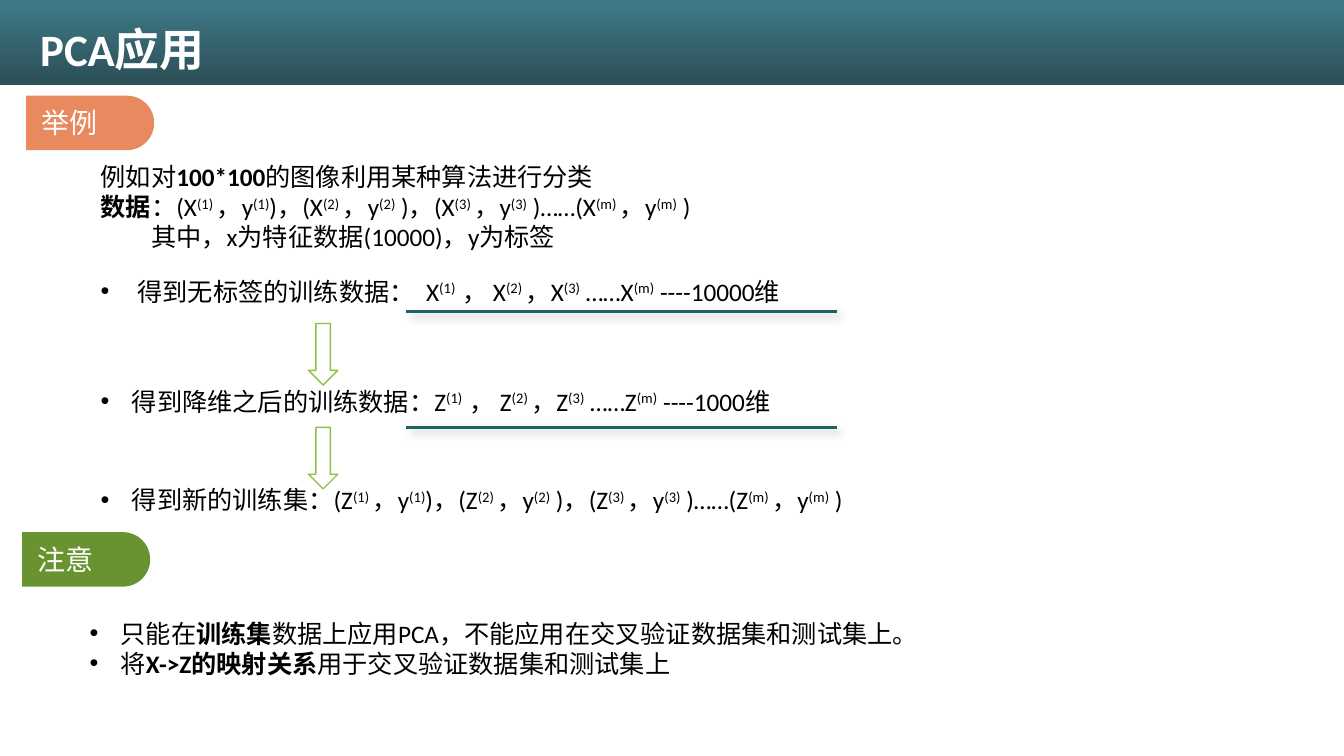
from dataclasses import dataclass
from math import cos, pi, sin

from lxml.etree import SubElement
from pptx import Presentation
from pptx.dml.color import RGBColor
from pptx.enum.shapes import MSO_CONNECTOR, MSO_SHAPE
from pptx.oxml.ns import qn
from pptx.util import Inches, Pt

FONT = "Calibri"
BLACK = "000000"
WHITE = "FFFFFF"
BULLET_INDENT = 0.31
ARC_STEPS = 24


@dataclass
class Line:
    text: str
    bullet: bool = False
    indent: float = 0


@dataclass
class TextBlock:
    left: float
    top: float
    width: float
    height: float
    lines: list[Line]
    size: int = 18
    color: str = BLACK


@dataclass
class Tag:
    left: float
    top: float
    label: str
    color: str


def rgb(value: str) -> RGBColor:
    return RGBColor.from_string(value)


def labelled_pairs(name: str) -> str:
    return (
        f"({name}^(1) ^，y^(1)^)，({name}^(2) ^，y^(2)^ )，"
        f"({name}^(3) ^，y^(3)^ )……({name}^(m) ^，y^(m)^ )"
    )


def vectors(name: str, dimension: int) -> str:
    return (
        f"{name}^(1)  ^， {name}^(2) ^，{name}^(3)^ "
        f"……{name}^(m)^ ----{dimension}维"
    )


def write_spans(para, text: str, size: int, color: str) -> None:
    for bold_index, part in enumerate(text.split("|")):
        for raised_index, piece in enumerate(part.split("^")):
            if not piece:
                continue
            span = para.add_run()
            span.text = piece
            span.font.name = FONT
            span.font.size = Pt(size)
            span.font.bold = bold_index % 2 == 1
            span.font.color.rgb = rgb(color)
            if raised_index % 2 == 1:
                span.font._element.set("baseline", "30000")


def set_indent(para, line: Line) -> None:
    properties = para._p.get_or_add_pPr()
    if line.bullet:
        properties.set("marL", str(Inches(BULLET_INDENT)))
        properties.set("indent", str(-Inches(BULLET_INDENT)))
        SubElement(properties, qn("a:buFont"), typeface="Arial")
        SubElement(properties, qn("a:buChar"), char="•")
    elif line.indent:
        properties.set("marL", str(Inches(line.indent)))


def add_text(shapes, block: TextBlock) -> None:
    box = shapes.add_textbox(
        Inches(block.left), Inches(block.top), Inches(block.width), Inches(block.height)
    )
    frame = box.text_frame
    frame.word_wrap = True
    for index, line in enumerate(block.lines):
        para = frame.add_paragraph() if index else frame.paragraphs[0]
        set_indent(para, line)
        write_spans(para, line.text, block.size, block.color)


def add_banner(page) -> None:
    banner = page.shapes.add_shape(
        MSO_SHAPE.RECTANGLE, 0, 0, Inches(13.33), Inches(0.84)
    )
    banner.shadow.inherit = False
    banner.line.fill.background()
    banner.fill.gradient()
    banner.fill.gradient_angle = 270
    stops = [(0.04, "3E7886"), (0.96, "2D5158")]
    for stop, (position, color) in zip(banner.fill.gradient_stops, stops):
        stop.position = position
        stop.color.rgb = rgb(color)


def add_tag(page, tag: Tag) -> None:
    width, height = 1.27, 0.54
    radius = height / 2
    center_x = tag.left + width - radius
    center_y = tag.top + radius
    angles = [pi * (step / ARC_STEPS - 0.5) for step in range(ARC_STEPS + 1)]
    points = [
        (Inches(center_x + radius * cos(angle)), Inches(center_y + radius * sin(angle)))
        for angle in angles
    ]
    points.append((Inches(tag.left), Inches(tag.top + height)))
    group = page.shapes.add_group_shape()
    builder = group.shapes.build_freeform(Inches(tag.left), Inches(tag.top))
    builder.add_line_segments(points, close=True)
    outline = builder.convert_to_shape()
    outline.shadow.inherit = False
    outline.fill.solid()
    outline.fill.fore_color.rgb = rgb(tag.color)
    outline.line.fill.background()
    add_text(
        group.shapes,
        TextBlock(tag.left + 0.05, tag.top + 0.05, 1.08, 0.44, [Line(tag.label)], 20, WHITE),
    )


def add_underline(page, top: float) -> None:
    underline = page.shapes.add_connector(
        MSO_CONNECTOR.STRAIGHT, Inches(4.03), Inches(top), Inches(8.3), Inches(top)
    )
    underline.line.width = Pt(2)
    underline.line.color.rgb = rgb("1D6360")
    effects = SubElement(underline._element.spPr, qn("a:effectLst"))
    shadow = SubElement(
        effects,
        qn("a:outerShdw"),
        blurRad=str(Pt(6)),
        dist=str(Pt(4)),
        dir="2700000",
        algn="tl",
        rotWithShape="0",
    )
    shadow_color = SubElement(shadow, qn("a:srgbClr"), val=BLACK)
    SubElement(shadow_color, qn("a:alpha"), val="27000")


def add_down_arrow(page, top: float) -> None:
    arrow = page.shapes.add_shape(
        MSO_SHAPE.DOWN_ARROW, Inches(3.06), Inches(top), Inches(0.29), Inches(0.61)
    )
    arrow.shadow.inherit = False
    arrow.fill.solid()
    arrow.fill.fore_color.rgb = rgb(WHITE)
    arrow.line.color.rgb = rgb("8BC145")
    arrow.line.width = Pt(1)


TEXT_BLOCKS = [
    TextBlock(0.3, 0.17, 5.12, 0.64, [Line("|PCA应用|")], 32, WHITE),
    TextBlock(0.9, 1.55, 9.61, 1.62, [
        Line("例如对|100*100|的图像利用某种算法进行分类"),
        Line(f"|数据|：{labelled_pairs('X')}"),
        Line("其中，x为特征数据(10000)，y为标签", indent=0.5),
    ]),
    TextBlock(0.9, 2.69, 7.57, 0.4, [
        Line(f" 得到无标签的训练数据：  {vectors('X', 10000)}", bullet=True),
    ]),
    TextBlock(0.9, 3.78, 7.4, 0.71, [
        Line(f"得到降维之后的训练数据：{vectors('Z', 1000)}", bullet=True),
    ]),
    TextBlock(0.9, 4.76, 9.05, 0.71, [
        Line(f"得到新的训练集：{labelled_pairs('Z')}", bullet=True),
    ]),
    TextBlock(0.79, 6.08, 8.5, 0.71, [
        Line("只能在|训练集|数据上应用PCA，不能应用在交叉验证数据集和测试集上。", bullet=True),
        Line("将|X->Z的映射关系|用于交叉验证数据集和测试集上", bullet=True),
    ]),
]
TAGS = [Tag(0.26, 0.95, "举例", "E98960"), Tag(0.22, 5.28, "注意", "699331")]


def main() -> None:
    deck = Presentation()
    deck.slide_width = Inches(13.33)
    deck.slide_height = Inches(7.5)
    page = deck.slides.add_slide(deck.slide_layouts[6])
    add_banner(page)
    for block in TEXT_BLOCKS:
        add_text(page.shapes, block)
    for top in (3.09, 4.24):
        add_underline(page, top)
    for tag in TAGS:
        add_tag(page, tag)
    for top in (3.21, 4.24):
        add_down_arrow(page, top)
    deck.save("out.pptx")


if __name__ == "__main__":
    main()
